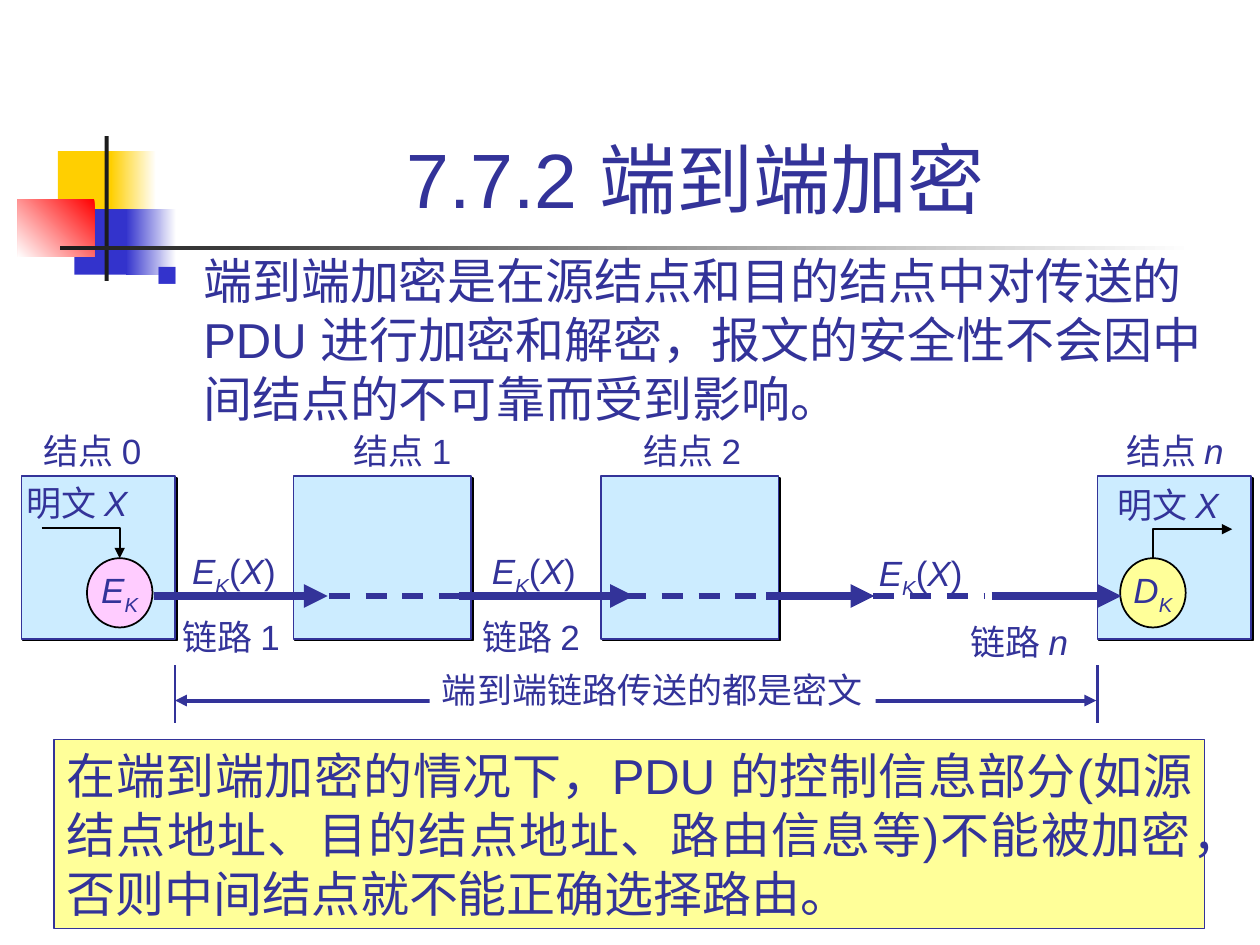
"""Build the slide on end-to-end encryption across a chain of nodes."""
from lxml import etree
from pptx import Presentation
from pptx.dml.color import RGBColor
from pptx.enum.dml import MSO_LINE
from pptx.enum.shapes import MSO_CONNECTOR, MSO_SHAPE
from pptx.enum.text import MSO_ANCHOR, MSO_AUTO_SIZE, PP_ALIGN
from pptx.oxml.ns import qn
from pptx.util import Pt

INK = RGBColor(0x33, 0x33, 0x99)
BLUE = RGBColor(0x33, 0x33, 0xCC)
GOLD = RGBColor(0xFF, 0xCF, 0x01)
RED = RGBColor(0xFF, 0x00, 0x00)
CHARCOAL = RGBColor(0x1C, 0x1C, 0x1C)
WHITE = RGBColor(0xFF, 0xFF, 0xFF)
BLACK = RGBColor(0x00, 0x00, 0x00)
SKY = RGBColor(0xCC, 0xEC, 0xFF)
PINK = RGBColor(0xFF, 0xCC, 0xFF)
YELLOW = RGBColor(0xFF, 0xFF, 0x99)


def add_box(kind, left, top, width, height, fill, line=None, line_width=1):
    shape = slide.shapes.add_shape(kind, Pt(left), Pt(top), Pt(width), Pt(height))
    shape.shadow.inherit = False
    shape.fill.solid()
    shape.fill.fore_color.rgb = fill
    if line is None:
        shape.line.fill.background()
    else:
        shape.line.color.rgb = line
        shape.line.width = Pt(line_width)
    return shape


def write(shape, lines, size=20, align=PP_ALIGN.LEFT, wrap=False, spacing=None, indents=(0, 0)):
    frame = shape.text_frame
    frame.word_wrap = wrap
    frame.vertical_anchor = MSO_ANCHOR.TOP
    for index, pieces in enumerate(lines):
        paragraph = frame.paragraphs[0] if index == 0 else frame.add_paragraph()
        paragraph.alignment = align
        paragraph.line_spacing = spacing
        if indents[index]:
            paragraph._p.get_or_add_pPr().set("marL", str(Pt(indents[index])))
        paragraph.font.size = Pt(size)
        paragraph.font.name = "Arial"
        paragraph.font.color.rgb = INK
        for text, look in pieces:
            run = paragraph.add_run()
            run.text = text
            if look != "plain":
                run.font.italic = True
            if look == "subscript":
                run._r.get_or_add_rPr().set("baseline", "-25000")


presentation = Presentation()
presentation.slide_width, presentation.slide_height = Pt(720), Pt(540)
slide = presentation.slides.add_slide(presentation.slide_layouts[5])

for left, top, width, height, start, end, angle in [
    (33.12, 86.4, 34.56, 37.44, GOLD, None, 0),
    (63.36, 86.4, 25.92, 37.44, WHITE, GOLD, 180),
    (42.48, 119.52, 33.12, 37.44, BLUE, None, 0),
    (72, 119.52, 28.8, 37.44, WHITE, BLUE, 180),
    (10.08, 113.76, 43.92, 33.12, RED, WHITE, 225),
    (59.76, 77.76, 2.4, 82.8, CHARCOAL, None, 0),
    (34.56, 140.4, 648, 2.4, WHITE, CHARCOAL, 180),
]:
    ornament = add_box(MSO_SHAPE.RECTANGLE, left, top, width, height, start)
    if end is not None:
        ornament.fill.gradient()
        ornament.fill.gradient_angle = angle
        for stop, color in zip(ornament.fill.gradient_stops, (start, end)):
            stop.color.rgb = color

title = slide.shapes.title
title.left, title.top, title.width, title.height = Pt(90.72), Pt(16.56), Pt(613.44), Pt(115.2)
write(title, [[("7.7.2 端到端加密", "plain")]], 44, PP_ALIGN.CENTER, True)
title.text_frame.vertical_anchor = MSO_ANCHOR.BOTTOM
title.text_frame.auto_size = MSO_AUTO_SIZE.NONE

summary = slide.shapes.add_textbox(Pt(82.08), Pt(139.68), Pt(612), Pt(124.56))
properties = summary.text_frame.paragraphs[0]._p.get_or_add_pPr()
properties.set("marL", str(Pt(27)))
properties.set("indent", str(Pt(-27)))
bullet_color = etree.SubElement(properties, qn("a:buClr"))
etree.SubElement(bullet_color, qn("a:srgbClr"), val=str(BLUE))
etree.SubElement(properties, qn("a:buSzPct"), val="60000")
etree.SubElement(properties, qn("a:buChar"), char="■")
write(summary, [[("端到端加密是在源结点和目的结点中对传送的 PDU 进行加密和解密，"
                  "报文的安全性不会因中间结点的不可靠而受到影响。", "plain")]], 28, wrap=True)

for left, width, label_left, number, look in [
    (12.24, 87.84, 18, "0", "plain"),
    (167.76, 101.52, 195.12, "1", "plain"),
    (343.44, 101.52, 360.72, "2", "plain"),
    (627.12, 87.84, 636.48, "n", "italic"),
]:
    node = add_box(MSO_SHAPE.RECTANGLE, left, 272.16, width, 92.88, SKY, INK)
    effects = node._element.spPr.find(qn("a:effectLst"))
    shadow = etree.SubElement(effects, qn("a:outerShdw"), dist=str(Pt(1.4)), dir="2700000")
    etree.SubElement(shadow, qn("a:srgbClr"), val=str(BLACK))
    label = slide.shapes.add_textbox(Pt(label_left), Pt(241.92), Pt(74.88), Pt(31.68))
    write(label, [[("结点 ", "plain"), (number, look)]])

for letter, fill, left, text_left, text_top, points in [
    ("E", PINK, 49.68, 7.92, 271.44, [(23.76, 301.68), (68.4, 301.68), (68.4, 318.96)]),
    ("D", YELLOW, 640.08, 631.44, 272.88, [(658.8, 318.96), (658.8, 302.4), (704.16, 302.4)]),
]:
    cipher = add_box(MSO_SHAPE.OVAL, left, 318.96, 37.44, 39.6, fill, BLACK)
    write(cipher, [[(letter, "italic"), ("K", "subscript")]], align=PP_ALIGN.CENTER)
    cipher.text_frame.vertical_anchor = MSO_ANCHOR.MIDDLE
    corners = [(Pt(x), Pt(y)) for x, y in points]
    builder = slide.shapes.build_freeform(*corners[0])
    builder.add_line_segments(corners[1:], close=False)
    elbow = builder.convert_to_shape()
    elbow.shadow.inherit = False
    elbow.fill.background()
    elbow.line.color.rgb = BLACK
    elbow.line.width = Pt(1)
    etree.SubElement(elbow.line._get_or_add_ln(), qn("a:tailEnd"), type="triangle")
    plaintext = slide.shapes.add_textbox(Pt(text_left), Pt(text_top), Pt(77.04), Pt(31.68))
    write(plaintext, [[("明文 ", "plain"), ("X", "italic")]])

for x1, y1, x2, y2, width, dash, ends in [
    (87.84, 340.56, 187.2, 340.56, 4.5, None, ["tailEnd"]),
    (262.08, 340.56, 362.16, 340.56, 4.5, None, ["tailEnd"]),
    (437.76, 340.56, 499.68, 340.56, 4.5, None, ["tailEnd"]),
    (566.64, 340.56, 640.8, 340.56, 4.5, None, ["tailEnd"]),
    (187.92, 340.56, 277.92, 340.56, 3, MSO_LINE.DASH, []),
    (357.12, 340.56, 446.4, 340.56, 3, MSO_LINE.DASH, []),
    (498.96, 340.56, 563.04, 340.56, 3, MSO_LINE.DASH, []),
    (100.08, 400.32, 626.4, 400.32, 2.25, None, ["headEnd", "tailEnd"]),
    (100.08, 380.16, 100.08, 413.28, 1.5, None, []),
    (627.12, 380.16, 627.12, 413.28, 1.5, None, []),
]:
    connector = slide.shapes.add_connector(MSO_CONNECTOR.STRAIGHT, Pt(x1), Pt(y1), Pt(x2), Pt(y2))
    connector.line.color.rgb = INK
    connector.line.width = Pt(width)
    if dash:
        connector.line.dash_style = dash
    for end in ends:
        etree.SubElement(connector.line._get_or_add_ln(), qn(f"a:{end}"), type="triangle")
    etree.SubElement(connector._element.spPr, qn("a:effectLst"))

ciphertext = [("E", "italic"), ("K", "subscript"), ("(", "plain"), ("X", "italic"), (")", "plain")]
for left, width, height, spacing, indent, number, look in [
    (97.2, 74.88, 82.08, 1.45, 0, "1", "plain"),
    (268.56, 74.88, 82.08, 1.45, 0, "2", "plain"),
    (489.6, 133.2, 84.24, 1.5, 58, "n", "italic"),
]:
    link = slide.shapes.add_textbox(Pt(left), Pt(298.08), Pt(width), Pt(height))
    write(link, [ciphertext, [("链路 ", "plain"), (number, look)]],
          spacing=spacing, indents=(5.5, indent))

span_label = add_box(MSO_SHAPE.RECTANGLE, 245.52, 378.72, 254.88, 31.68, WHITE)
write(span_label, [[("端到端链路传送的都是密文", "plain")]])

note = add_box(MSO_SHAPE.RECTANGLE, 30.96, 422.64, 657.36, 108, YELLOW, INK, 0.75)
write(note, [[("在端到端加密的情况下，PDU 的控制信息部分(如源结点地址、目的结点地址、路由信息等)"
               "不能被加密，否则中间结点就不能正确选择路由。", "plain")]],
      28, PP_ALIGN.JUSTIFY, True)

presentation.save("out.pptx")
